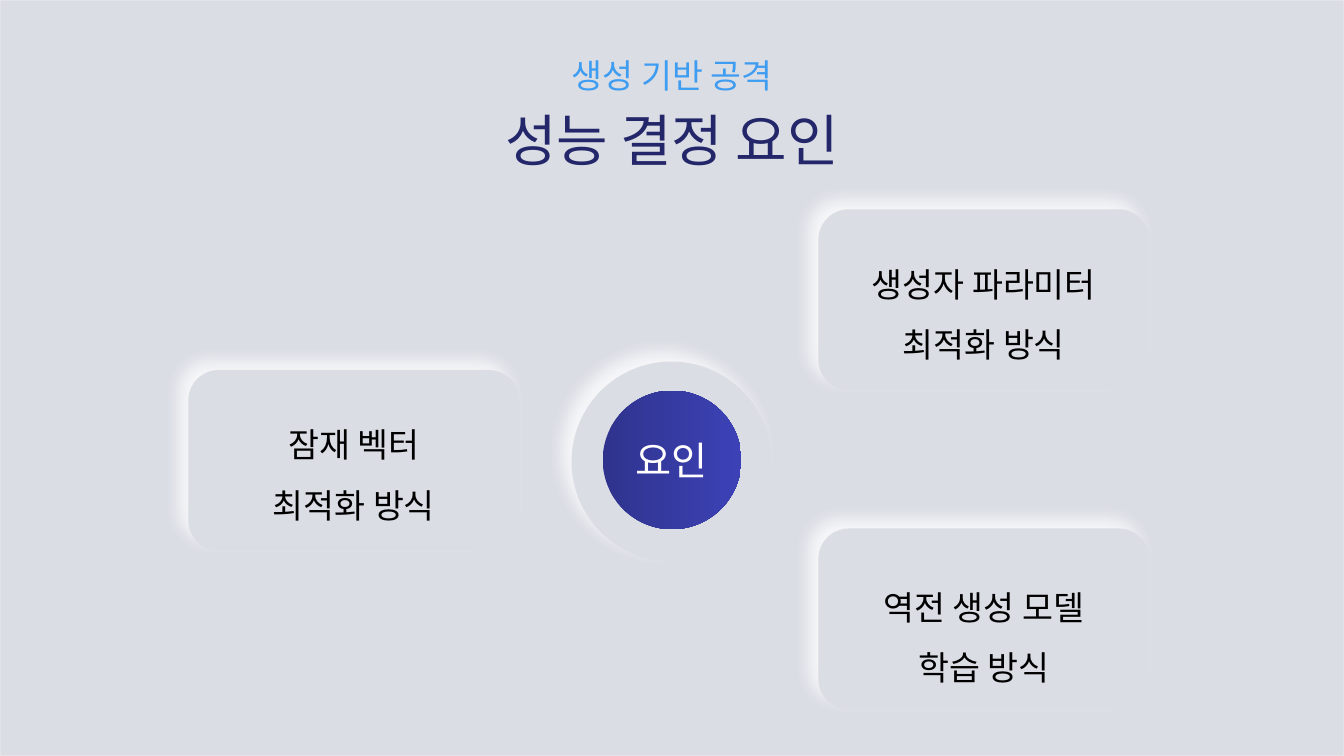
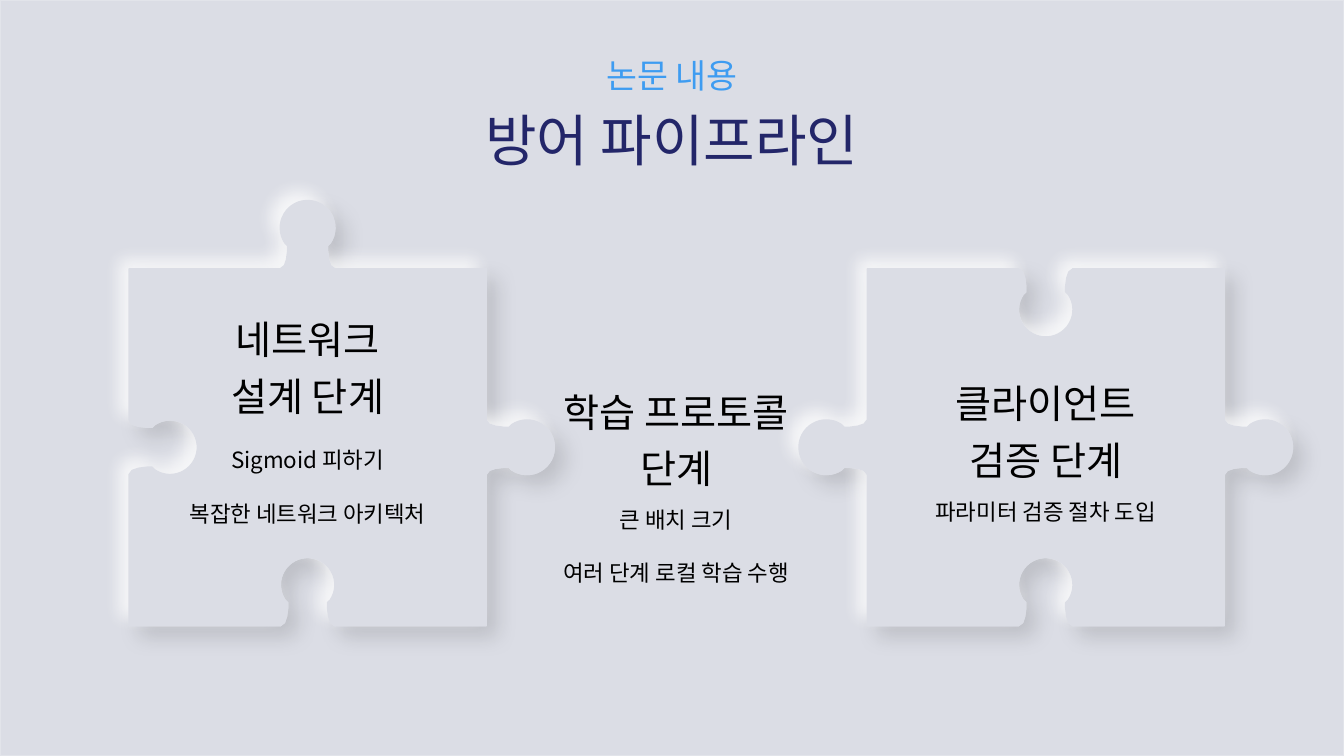
import math
from dataclasses import dataclass

from lxml import etree
from pptx import Presentation
from pptx.dml.color import RGBColor
from pptx.enum.shapes import MSO_SHAPE
from pptx.enum.text import MSO_ANCHOR, MSO_AUTO_SIZE, PP_ALIGN
from pptx.oxml.ns import qn
from pptx.presentation import Presentation as Deck
from pptx.shapes.autoshape import Shape
from pptx.slide import Slide
from pptx.text.text import TextFrame
from pptx.util import Emu, Pt

RECTANGLE = MSO_SHAPE.RECTANGLE
ROUNDED = MSO_SHAPE.ROUNDED_RECTANGLE
OVAL = MSO_SHAPE.OVAL
DONUT = MSO_SHAPE.DONUT
CENTER = PP_ALIGN.CENTER
TOP, MIDDLE = MSO_ANCHOR.TOP, MSO_ANCHOR.MIDDLE
GROW, FIXED = MSO_AUTO_SIZE.SHAPE_TO_FIT_TEXT, MSO_AUTO_SIZE.NONE

EMU_PER_PX = 9525
SLIDE_WIDTH, SLIDE_HEIGHT = 1280, 720
TITLE_ONLY_LAYOUT = 5


@dataclass(frozen=True)
class TextStyle:
    size: int
    color: str
    first_spacing: float | None = None
    next_spacing: float | None = None


@dataclass(frozen=True)
class Glow:
    """An outer shadow: opacity in percent, blur and distance in points."""
    color: str
    opacity: int
    blur: int
    distance: int
    angle: int


@dataclass(frozen=True)
class Theme:
    font: str = "Noto Sans CJK KR"
    surface: str = "DBDDE5"
    frame: str = "E2E4EA"
    hub_start: str = "2F338D"
    hub_end: str = "3C42B6"
    title: TextStyle = TextStyle(40, "232669")
    section: TextStyle = TextStyle(24, "3E9CF1")
    hub: TextStyle = TextStyle(28, "FFFFFF")
    card: TextStyle = TextStyle(24, "000000", 1.5, 1.5)
    stage: TextStyle = TextStyle(28, "000000", 1.2, 1.2)
    measure: TextStyle = TextStyle(16, "000000", None, 2.0)
    light: Glow = Glow("FFFFFF", 78, 12, 10, 225)
    shade: Glow = Glow("000000", 12, 15, 10, 45)


THEME = Theme()


@dataclass(frozen=True)
class Box:
    left: int
    top: int
    width: int
    height: int

    def emu(self) -> tuple[Emu, Emu, Emu, Emu]:
        return px(self.left), px(self.top), px(self.width), px(self.height)


@dataclass(frozen=True)
class FactorCard:
    left: int
    top: int
    text_offset: int
    lines: tuple[str, ...]


@dataclass(frozen=True)
class StagePiece:
    """A puzzle piece; sides run top, right, bottom, left: 1 tab, -1 socket, 0 flat."""
    left: int
    sides: tuple[int, int, int, int]
    heading_top: int
    heading: tuple[str, ...]
    measures_top: int
    measures: tuple[str, ...]


CARD_WIDTH, CARD_HEIGHT, CARD_TEXT_HEIGHT = 314, 171, 118
FACTORS = (
    FactorCard(780, 504, 31, ("역전 생성 모델", "학습 방식")),
    FactorCard(780, 200, 27, ("생성자 파라미터", "최적화 방식")),
    FactorCard(180, 353, 27, ("잠재 벡터", "최적화 방식")),
)

PIECE_TOP, PIECE_SIZE = 256, 340
HEADING_HEIGHT, MEASURE_HEIGHT = 112, 39
NETWORK = StagePiece(123, (1, 1, -1, -1), 287, ("네트워크", "설계 단계"),
                     420, ("Sigmoid 피하기", "복잡한 네트워크 아키텍처"))
TRAINING = StagePiece(474, (-1, 0, 1, 0), 356, ("학습 프로토콜", "단계"),
                      477, ("큰 배치 크기", "여러 단계 로컬 학습 수행"))
CLIENT = StagePiece(826, (-1, 1, -1, 1), 348, ("클라이언트", "검증 단계"),
                    470, ("파라미터 검증 절차 도입",))

# Half of a knob's neck as (distance from the middle, distance from the edge).
NECK = ((26, 0), (22, 3), (20, 9), (19, 17), (19, 22))
KNOB_RADIUS, KNOB_CENTER = 26, 39


def px(length: float) -> Emu:
    return Emu(round(length * EMU_PER_PX))


def rgb(color: str) -> RGBColor:
    return RGBColor.from_string(color)


def write(frame: TextFrame, lines: tuple[str, ...], style: TextStyle,
          anchor: MSO_ANCHOR = TOP, fit: MSO_AUTO_SIZE = GROW) -> None:
    frame.word_wrap = True
    frame.auto_size = fit
    frame.vertical_anchor = anchor
    for index, line in enumerate(lines):
        paragraph = frame.add_paragraph() if index else frame.paragraphs[0]
        paragraph.alignment = CENTER
        paragraph.line_spacing = style.next_spacing if index else style.first_spacing
        run = paragraph.add_run()
        run.text = line
        run.font.size = Pt(style.size)
        run.font.color.rgb = rgb(style.color)
        run.font.name = THEME.font
        east_asian = etree.SubElement(run.font._element, qn("a:ea"))
        east_asian.set("typeface", THEME.font)


def add_text(slide: Slide, box: Box, lines: tuple[str, ...], style: TextStyle) -> None:
    write(slide.shapes.add_textbox(*box.emu()).text_frame, lines, style)


def style_surface(shape: Shape, glow: Glow | None = None, line: str = THEME.surface) -> None:
    shape.fill.solid()
    shape.fill.fore_color.rgb = rgb(THEME.surface)
    shape.line.color.rgb = rgb(line)
    shape.line.width = Pt(1)
    shape.shadow.inherit = False
    if glow:
        effects = shape.element.spPr.find(qn("a:effectLst"))
        shadow = etree.SubElement(
            effects, qn("a:outerShdw"), blurRad=str(Pt(glow.blur)),
            dist=str(Pt(glow.distance)), dir=str(glow.angle * 60000), rotWithShape="0")
        color = etree.SubElement(shadow, qn("a:srgbClr"), val=glow.color)
        etree.SubElement(color, qn("a:alpha"), val=str(glow.opacity * 1000))


def add_surface(slide: Slide, kind: MSO_SHAPE, box: Box, glow: Glow | None = None) -> Shape:
    shape = slide.shapes.add_shape(kind, *box.emu())
    style_surface(shape, glow)
    return shape


def add_titled_slide(deck: Deck, section: str, title: str) -> Slide:
    slide = deck.slides.add_slide(deck.slide_layouts[TITLE_ONLY_LAYOUT])
    heading = slide.shapes.title
    heading.left, heading.top, heading.width, heading.height = Box(0, 96, SLIDE_WIDTH, 74).emu()
    write(heading.text_frame, (title,), THEME.title)
    add_text(slide, Box(0, 48, SLIDE_WIDTH, 48), (section,), THEME.section)
    return slide


def move_backdrop_to_master(deck: Deck, slide: Slide) -> None:
    backdrop = slide.shapes.add_shape(RECTANGLE, *Box(0, 0, SLIDE_WIDTH, SLIDE_HEIGHT).emu())
    style_surface(backdrop, line=THEME.frame)
    deck.slide_master.shapes.element.insert(2, backdrop.element)


def knob_profile() -> list[tuple[float, float]]:
    """Points of one tab, from left to right, as (along the edge, outward)."""
    arc = []
    for degrees in range(214, -35, -8):
        angle = math.radians(degrees)
        arc.append((KNOB_RADIUS * math.cos(angle), KNOB_CENTER + KNOB_RADIUS * math.sin(angle)))
    return [(-along, out) for along, out in NECK] + arc + list(reversed(NECK))


def piece_outline(piece: StagePiece) -> list[tuple[Emu, Emu]]:
    x, y = piece.left, PIECE_TOP
    points = [(px(x), px(y))]
    directions = ((1, 0), (0, 1), (-1, 0), (0, -1))
    for (dx, dy), side in zip(directions, piece.sides):
        if side:
            for along, out in knob_profile():
                run, rise = PIECE_SIZE / 2 + along, side * out
                points.append((px(x + run * dx + rise * dy), px(y + run * dy - rise * dx)))
        x, y = x + PIECE_SIZE * dx, y + PIECE_SIZE * dy
        points.append((px(x), px(y)))
    return points


def add_piece(slide: Slide, piece: StagePiece, glow: Glow | None = None) -> None:
    start, *rest = piece_outline(piece)
    builder = slide.shapes.build_freeform(*start)
    builder.add_line_segments(rest, close=True)
    style_surface(builder.convert_to_shape(), glow)


def add_hub(slide: Slide) -> None:
    hub = slide.shapes.add_shape(OVAL, *Box(574, 372, 132, 132).emu())
    hub.shadow.inherit = False
    hub.line.fill.background()
    hub.fill.gradient()
    hub.fill.gradient_angle = 0
    ends = ((0, THEME.hub_start), (1, THEME.hub_end))
    for stop, (position, color) in zip(hub.fill.gradient_stops, ends):
        stop.position = position
        stop.color.rgb = rgb(color)
    write(hub.text_frame, ("요인",), THEME.hub, MIDDLE, FIXED)


def build_factors(deck: Deck) -> None:
    slide = add_titled_slide(deck, "생성 기반 공격", "성능 결정 요인")
    move_backdrop_to_master(deck, slide)
    ring = add_surface(slide, DONUT, Box(394, 193, 492, 492))
    ring.adjustments[0] = 0.08
    add_surface(slide, OVAL, Box(545, 345, 189, 189), THEME.light)
    for factor in FACTORS:
        add_surface(slide, ROUNDED, Box(factor.left, factor.top, CARD_WIDTH, CARD_HEIGHT),
                    THEME.light)
        add_text(slide, Box(factor.left, factor.top + factor.text_offset,
                            CARD_WIDTH, CARD_TEXT_HEIGHT), factor.lines, THEME.card)
    add_hub(slide)


def build_pipeline(deck: Deck) -> None:
    slide = add_titled_slide(deck, "논문 내용", "방어 파이프라인")
    add_piece(slide, TRAINING)
    for glow in (THEME.shade, THEME.light):
        for piece in (NETWORK, CLIENT):
            add_piece(slide, piece, glow)
    for piece in (NETWORK, TRAINING, CLIENT):
        add_text(slide, Box(piece.left, piece.heading_top, PIECE_SIZE, HEADING_HEIGHT),
                 piece.heading, THEME.stage)
        add_text(slide, Box(piece.left, piece.measures_top, PIECE_SIZE,
                            MEASURE_HEIGHT * len(piece.measures)),
                 piece.measures, THEME.measure)


def main() -> None:
    deck = Presentation()
    deck.slide_width, deck.slide_height = px(SLIDE_WIDTH), px(SLIDE_HEIGHT)
    build_factors(deck)
    build_pipeline(deck)
    deck.save("out.pptx")


if __name__ == "__main__":
    main()
